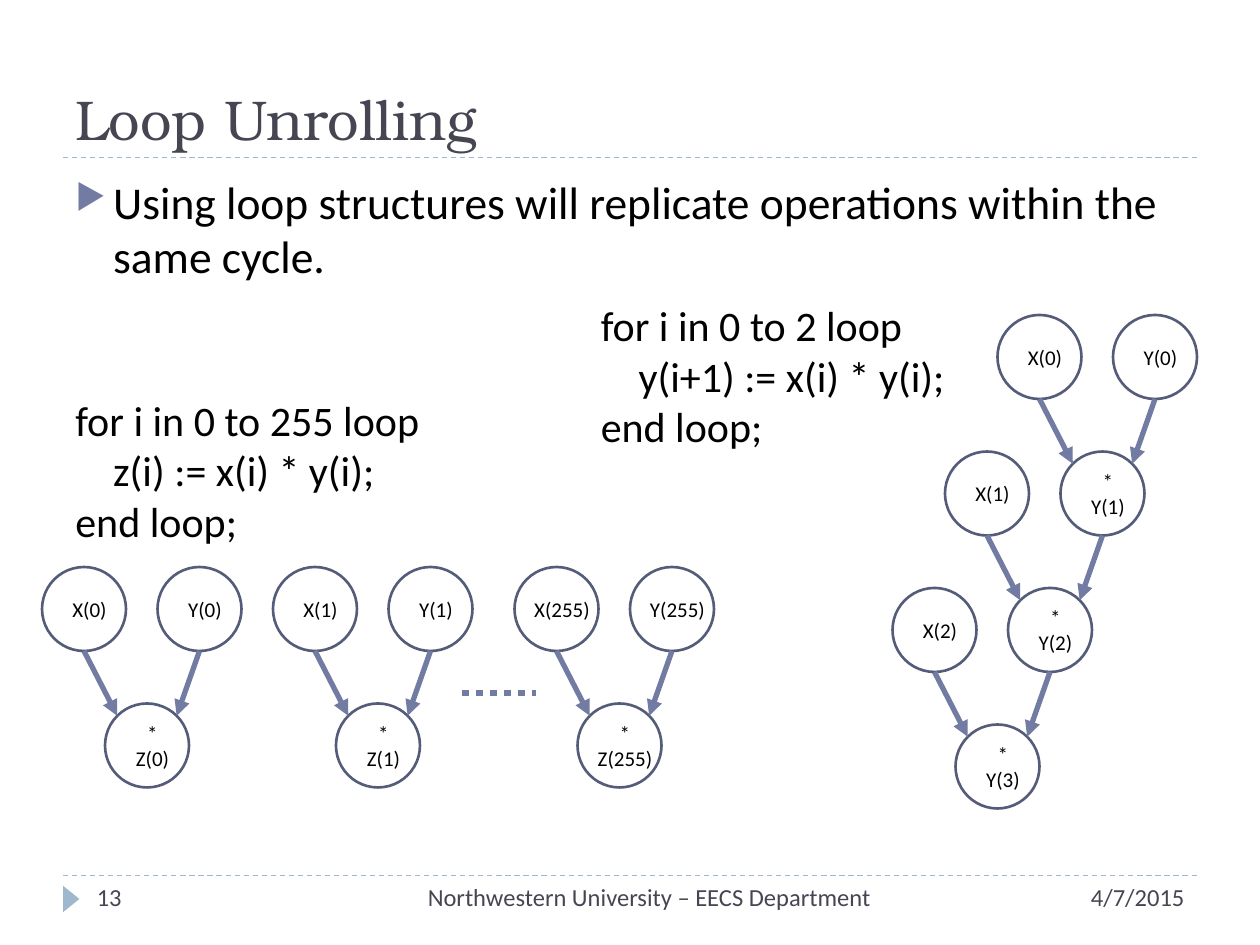
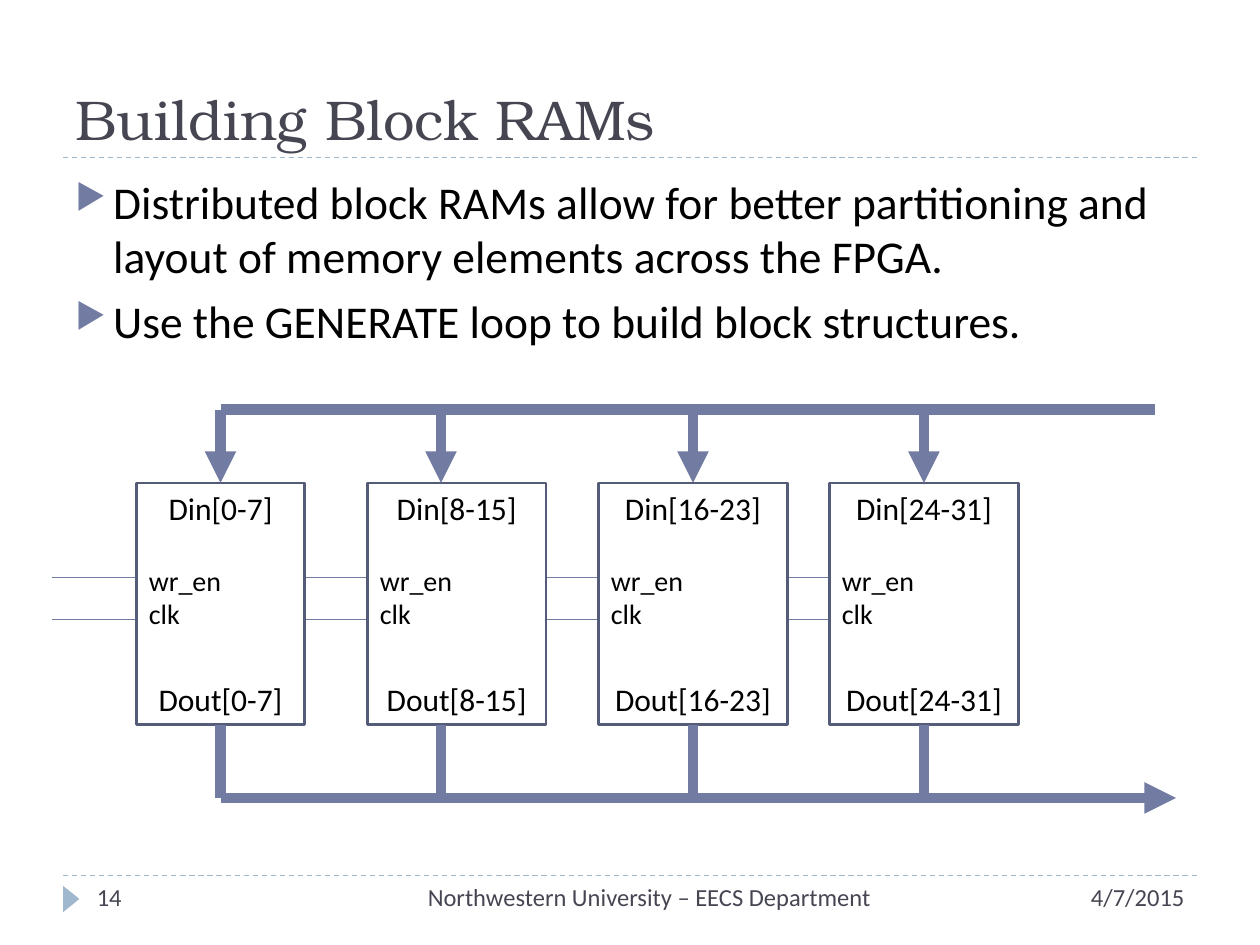
import math

import lxml.etree
import pptx
import pptx.dml.color
import pptx.enum.dml
import pptx.enum.shapes
import pptx.enum.text
import pptx.oxml.ns
import pptx.util

Inches = pptx.util.Inches
Pt = pptx.util.Pt
RGBColor = pptx.dml.color.RGBColor
SHAPE = pptx.enum.shapes.MSO_SHAPE
ALIGN = pptx.enum.text.PP_ALIGN
ANCHOR = pptx.enum.text.MSO_ANCHOR
DASH = pptx.enum.dml.MSO_LINE
qn = pptx.oxml.ns.qn

BLACK = RGBColor(0x00, 0x00, 0x00)
WHITE = RGBColor(0xFF, 0xFF, 0xFF)
SLATE = RGBColor(0x46, 0x46, 0x53)
ACCENT = RGBColor(0x72, 0x7C, 0xA3)
OUTLINE = RGBColor(0x54, 0x5C, 0x79)
PALE = RGBColor(0x9F, 0xB8, 0xCD)
BODY_FONT = "Calibri"
TITLE_FONT = "TeX Gyre Bonum"
U = 1 / 12  # diagram grid unit in inches


def add_text(s, x, y, w, h, lines, size, color=BLACK, font=BODY_FONT,
             align=ALIGN.LEFT, anchor=ANCHOR.TOP):
    tf = s.shapes.add_textbox(Inches(x), Inches(y), Inches(w), Inches(h)).text_frame
    tf.word_wrap = True
    tf.vertical_anchor = anchor
    for i, line in enumerate(lines):
        p = tf.paragraphs[0] if i == 0 else tf.add_paragraph()
        p.alignment = align
        r = p.add_run()
        r.text = line
        r.font.size = Pt(size)
        r.font.name = font
        r.font.color.rgb = color
    return tf


def add_line(s, x1, y1, x2, y2, width, color=ACCENT, dash=None, arrow=False):
    cn = s.shapes.add_connector(pptx.enum.shapes.MSO_CONNECTOR.STRAIGHT,
                                Inches(x1), Inches(y1), Inches(x2), Inches(y2))
    cn.line.color.rgb = color
    cn.line.width = Pt(width)
    if dash:
        cn.line.dash_style = dash
    if arrow:
        ln = cn.line.color and cn._element.spPr.find(qn("a:ln"))
        lxml.etree.SubElement(ln, qn("a:tailEnd"), type="triangle")
    lxml.etree.SubElement(cn._element.spPr, qn("a:effectLst"))


prs = pptx.Presentation()
prs.slide_width = Inches(10)
prs.slide_height = Inches(7.5)

# Shared frame: rules, marker, title, footer and bullets
pages = [
    ("Loop Unrolling", "13", 1.17,
     ["Using loop structures will replicate operations within the same cycle."]),
    ("Building Block RAMs", "14", 1.5,
     ["Distributed block RAMs allow for better partitioning and layout of "
      "memory elements across the FPGA.",
      "Use the GENERATE loop to build block structures."]),
]
for title, number, body_height, bullets in pages:
    s = prs.slides.add_slide(prs.slide_layouts[6])
    for y in (6.95, 1.25):
        add_line(s, 0.5, y, 9.5, y, 0.75, PALE, DASH.DASH)
    sp = s.shapes.add_shape(SHAPE.ISOSCELES_TRIANGLE, Inches(0.46), Inches(7.07),
                            Inches(0.21), Inches(0.13))
    sp.rotation = 90
    sp.shadow.inherit = False
    sp.fill.solid()
    sp.fill.fore_color.rgb = PALE
    sp.line.fill.background()

    add_text(s, 0.5, 0.17, 9, 1.08, [title], 32, SLATE, TITLE_FONT, anchor=ANCHOR.BOTTOM)
    for x, w, text, align in (
            (7, 2.5, "4/7/2015", ALIGN.RIGHT),
            (2.92, 4.09, "Northwestern University – EECS Department", ALIGN.RIGHT),
            (0.67, 2.17, number, ALIGN.LEFT)):
        add_text(s, x, 6.95, w, 0.4, [text], 14, SLATE, align=align)

    tf = add_text(s, 0.5, 1.33, 9, body_height, bullets, 26)
    for p in tf.paragraphs:
        p.space_before = Pt(6)
        pPr = p._p.get_or_add_pPr()
        pPr.set("marL", str(Inches(0.3)))
        pPr.set("indent", str(-Inches(0.3)))
        clr = lxml.etree.SubElement(pPr, qn("a:buClr"))
        lxml.etree.SubElement(clr, qn("a:srgbClr"), val=str(ACCENT))
        lxml.etree.SubElement(pPr, qn("a:buSzPct"), val="76000")
        lxml.etree.SubElement(pPr, qn("a:buChar"), char="▶")

unrolling, rams = prs.slides

# Loop code, with the loop body indented
for x, y, w, code in (
        (0.5, 3.08, 5, ["for i in 0 to 255 loop", "z(i) := x(i) * y(i);", "end loop;"]),
        (4.67, 2.33, 3.33, ["for i in 0 to 2 loop", "y(i+1) := x(i) * y(i);", "end loop;"])):
    tf = add_text(unrolling, x, y, w, 1.31, code, 24)
    tf.paragraphs[1]._p.get_or_add_pPr().set("marL", str(Inches(0.3)))

# Multiplications in grid units: two inputs feed a product.
# In the chain on the right, each product is the next right-hand input.
multiplications = [
    (4, 54, ["X(0)", "Y(0)"], "Z(0)"),
    (26, 54, ["X(1)", "Y(1)"], "Z(1)"),
    (49, 54, ["X(255)", "Y(255)"], "Z(255)"),
    (95, 30, ["X(0)", "Y(0)"], "Y(1)"),
    (90, 43, ["X(1)"], "Y(2)"),
    (85, 56, ["X(2)"], "Y(3)"),
]
RADIUS = 4
DIAGONAL = RADIUS * math.sqrt(0.5)
for x, y, inputs, product in multiplications:
    nodes = [(x + 11 * i, y, [name]) for i, name in enumerate(inputs)]
    nodes.append((x + 6, y + 13, ["*", product]))
    for nx, ny, lines in nodes:
        sp = unrolling.shapes.add_shape(SHAPE.OVAL, Inches(nx * U), Inches(ny * U),
                                        Inches(2 * RADIUS * U), Inches(2 * RADIUS * U))
        sp.shadow.inherit = False
        sp.fill.background()
        sp.line.color.rgb = OUTLINE
        sp.line.width = Pt(1.5)
        h = 0.1 + 0.2 * len(lines)
        add_text(unrolling, (nx - 1) * U, (ny + RADIUS) * U - h / 2, 0.92, h, lines, 12,
                 align=ALIGN.CENTER)
    for start, side in ((x + 4, -1), (x + 15, 1)):
        add_line(unrolling, start * U, (y + 8) * U, (x + 10 + side * DIAGONAL) * U,
                 (y + 17 - DIAGONAL) * U, 3, arrow=True)
add_line(unrolling, 3.67, 5.5, 4.25, 5.5, 4, dash=DASH.ROUND_DOT)

# Control wires run behind the RAM blocks
for y in (55, 59):
    add_line(rams, 5 * U, y * U, 79 * U, y * U, 0.75)

# Data buses
add_line(rams, 21 * U, 39 * U, 110 * U, 39 * U, 6)
add_line(rams, 21 * U, 76 * U, 112 * U, 76 * U, 6, arrow=True)

# RAM blocks: width, bus tap and bit range
blocks = [(16, 21, "[0-7]"), (17, 42, "[8-15]"), (18, 66, "[16-23]"), (18, 88, "[24-31]")]
for i, (w, tap, bits) in enumerate(blocks):
    x = (13 + 22 * i) * U
    sp = rams.shapes.add_shape(SHAPE.RECTANGLE, Inches(x), Inches(46 * U),
                               Inches(w * U), Inches(23 * U))
    sp.shadow.inherit = False
    sp.fill.solid()
    sp.fill.fore_color.rgb = WHITE
    sp.line.color.rgb = OUTLINE
    sp.line.width = Pt(1.5)
    add_text(rams, x, 3.83, w * U, 0.4, ["Din" + bits], 18, align=ALIGN.CENTER)
    add_text(rams, x, 4.42, 1.25, 0.64, ["wr_en", "clk"], 16)
    add_text(rams, x, 5.35, w * U, 0.4, ["Dout" + bits], 18, align=ALIGN.CENTER)
    add_line(rams, tap * U, 39 * U, tap * U, 46 * U, 6, arrow=True)
    add_line(rams, tap * U, 69 * U, tap * U, 76 * U, 6)

prs.save("out.pptx")
